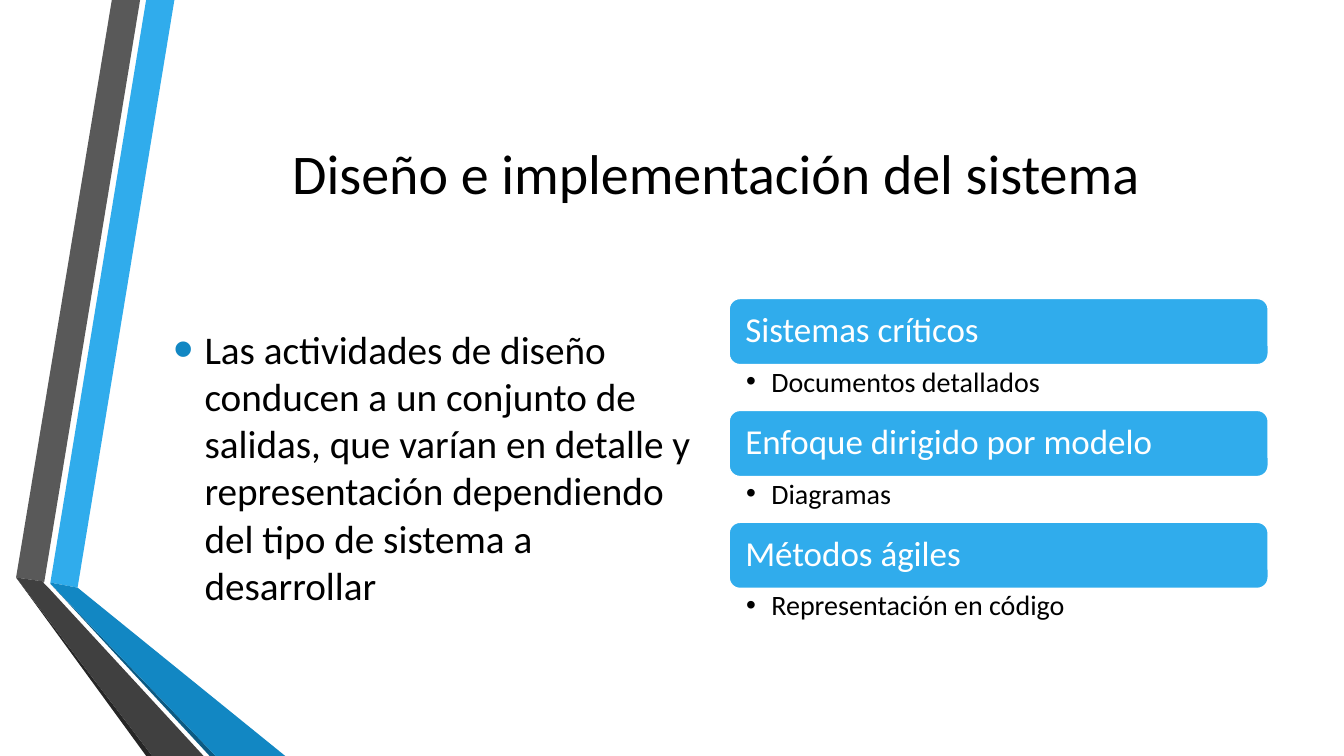
from lxml import etree
from pptx import Presentation
from pptx import util as u
from pptx.dml.color import RGBColor
from pptx.enum import shapes, text
from pptx.oxml.ns import qn

FONT = "Calibri"
BLACK, WHITE, BLUE, DEEP = "000000", "FFFFFF", "30ACEC", "1287C3"
TITLE = "Diseño e implementación del sistema"
BODY = ("Las actividades de diseño conducen a un conjunto de salidas, que "
        "varían en detalle y representación dependiendo del tipo de sistema "
        "a desarrollar")
ITEMS = [
    ("Sistemas críticos", "Documentos detallados"),
    ("Enfoque dirigido por modelo", "Diagramas"),
    ("Métodos ágiles", "Representación en código"),
]
WIDE, HIGH = 13.33, 7.5
RIBBONS = [
    (BLUE, [(0.5, 5.78), (0.77, 5.83), (1.73, 0), (1.45, 0)]),
    ("595959", [(1.39, 0), (1.11, 0), (0.16, 5.73), (0.44, 5.77)]),
    ("262626", [(0.16, 5.73), (1.45, HIGH), (1.51, HIGH)]),
    ("0C5A82", [(0.5, 5.79), (2.08, HIGH), (2.14, HIGH)]),
    (DEEP, [(0.5, 5.79), (2.14, HIGH), (2.83, HIGH), (0.77, 5.83), (0.5, 5.78)]),
    ("404040", [(2.02, HIGH), (0.48, 5.83), (0.43, 5.78), (0.44, 5.77),
                (0.16, 5.73), (1.51, HIGH)]),
]
# Two columns under the title
LEFT, COL, GAP = 1.62, 5.35, 0.26
RIGHT = LEFT + COL + GAP
TOP, BAR, NOTE = 2.96, 0.66, 0.45


def paint(shape, color):
    shape.shadow.inherit = False
    shape.fill.solid()
    shape.fill.fore_color.rgb = RGBColor.from_string(color)


def place(shape, *box):
    shape.left, shape.top, shape.width, shape.height = map(u.Inches, box)


def write(shape, words, size, color, inset, anchor=text.MSO_ANCHOR.MIDDLE,
          align=text.PP_ALIGN.LEFT):
    """Fill a shape with one paragraph; inset is left, top, right, bottom."""
    frame = shape.text_frame
    frame.word_wrap = True
    frame.auto_size = text.MSO_AUTO_SIZE.NONE
    frame.vertical_anchor = anchor
    (frame.margin_left, frame.margin_top,
     frame.margin_right, frame.margin_bottom) = map(u.Inches, inset)
    para = frame.paragraphs[0]
    para.text = words
    para.alignment = align
    para.font.size = u.Pt(size)
    para.font.name = FONT
    para.font.color.rgb = RGBColor.from_string(color)
    return para


def bullet(para, indent, color, share):
    props = para._p.get_or_add_pPr()
    props.set("marL", str(u.Inches(indent)))
    props.set("indent", str(-u.Inches(indent)))
    marks = []
    for tag, key, value in (("buClr", None, None),
                            ("buSzPct", "val", str(share * 1000)),
                            ("buFont", "typeface", "Arial"),
                            ("buChar", "char", "•")):
        mark = etree.Element(qn("a:" + tag))
        if key:
            mark.set(key, value)
        else:
            etree.SubElement(mark, qn("a:srgbClr")).set("val", color)
        marks.append(mark)
    rest = props.find(qn("a:defRPr"))
    for mark in marks:
        if rest is None:
            props.append(mark)
        else:
            rest.addprevious(mark)


def main():
    deck = Presentation()
    deck.slide_width, deck.slide_height = u.Inches(WIDE), u.Inches(HIGH)
    slide = deck.slides.add_slide(deck.slide_layouts[5])
    parts = slide.shapes

    for color, points in RIBBONS:
        spots = [(u.Inches(x), u.Inches(y)) for x, y in points]
        path = parts.build_freeform(*spots[0], scale=1.0)
        path.add_line_segments(spots[1:], close=True)
        band = path.convert_to_shape()
        paint(band, color)
        band.line.fill.background()

    title = parts.title
    place(title, LEFT, HIGH / 10, 2 * COL + GAP, 1.92)
    write(title, TITLE, 40, BLACK, (0.1, 0.05, 0.1, 0.05),
          align=text.PP_ALIGN.CENTER)

    for row, (head, note) in enumerate(ITEMS):
        top = TOP + row * (BAR + NOTE)
        bar = parts.add_shape(shapes.MSO_SHAPE.ROUNDED_RECTANGLE, 0, 0, 0, 0)
        place(bar, RIGHT, top, COL, BAR)
        paint(bar, BLUE)
        bar.line.color.rgb = RGBColor.from_string(WHITE)
        bar.line.width = u.Pt(1.25)
        write(bar, head, 25, WHITE, (0.13, 0.1, 0.13, 0.1)).line_spacing = 0.9

        box = parts.add_textbox(0, 0, 0, 0)
        place(box, RIGHT, top + BAR, COL, NOTE)
        para = write(box, note, 20, BLACK, (0.17, 0.03, 0.19, 0.03),
                     text.MSO_ANCHOR.TOP)
        para.line_spacing = 0.9
        bullet(para, 0.25, BLACK, 100)

    body = parts.add_textbox(0, 0, 0, 0)
    place(body, LEFT, 2.92, COL, 3.42)
    para = write(body, BODY, 28, BLACK, (0.1, 0.05, 0.1, 0.05))
    para.space_after = u.Pt(6)
    bullet(para, 0.31, DEEP, 145)

    deck.save("out.pptx")


if __name__ == "__main__":
    main()
